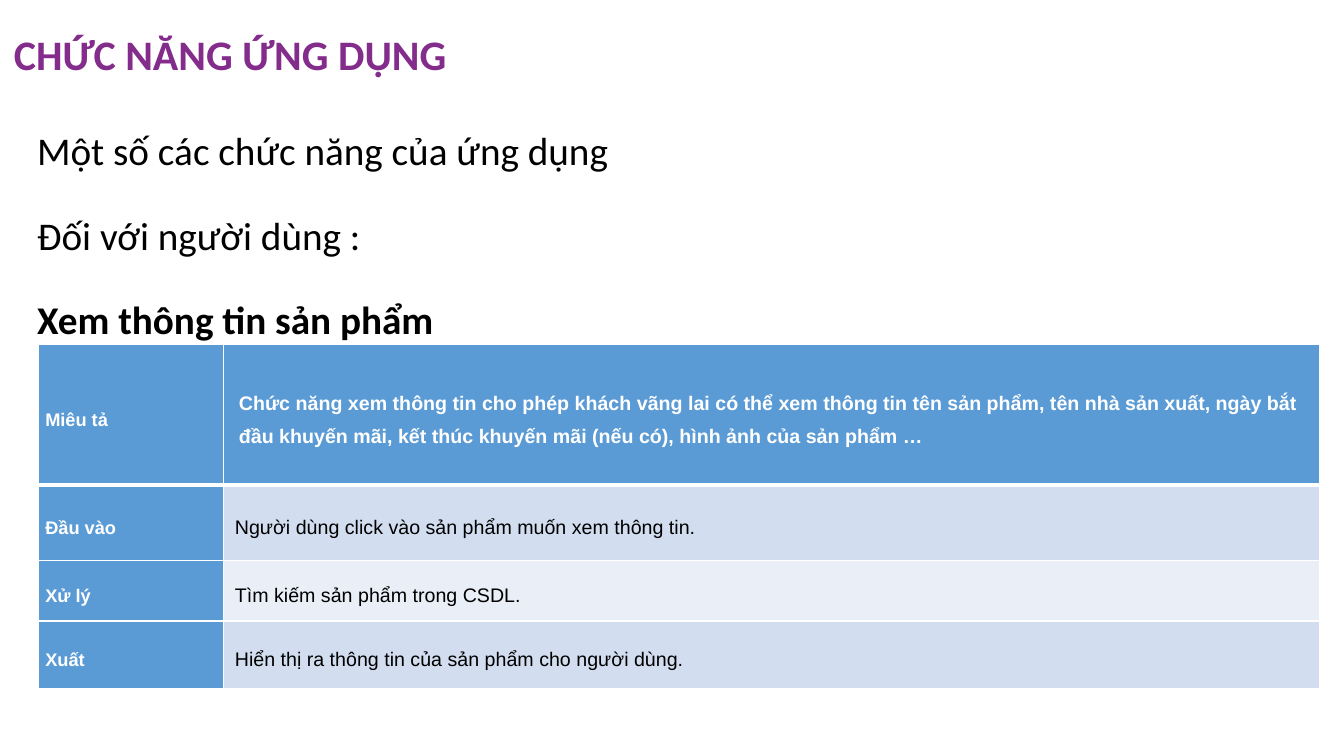
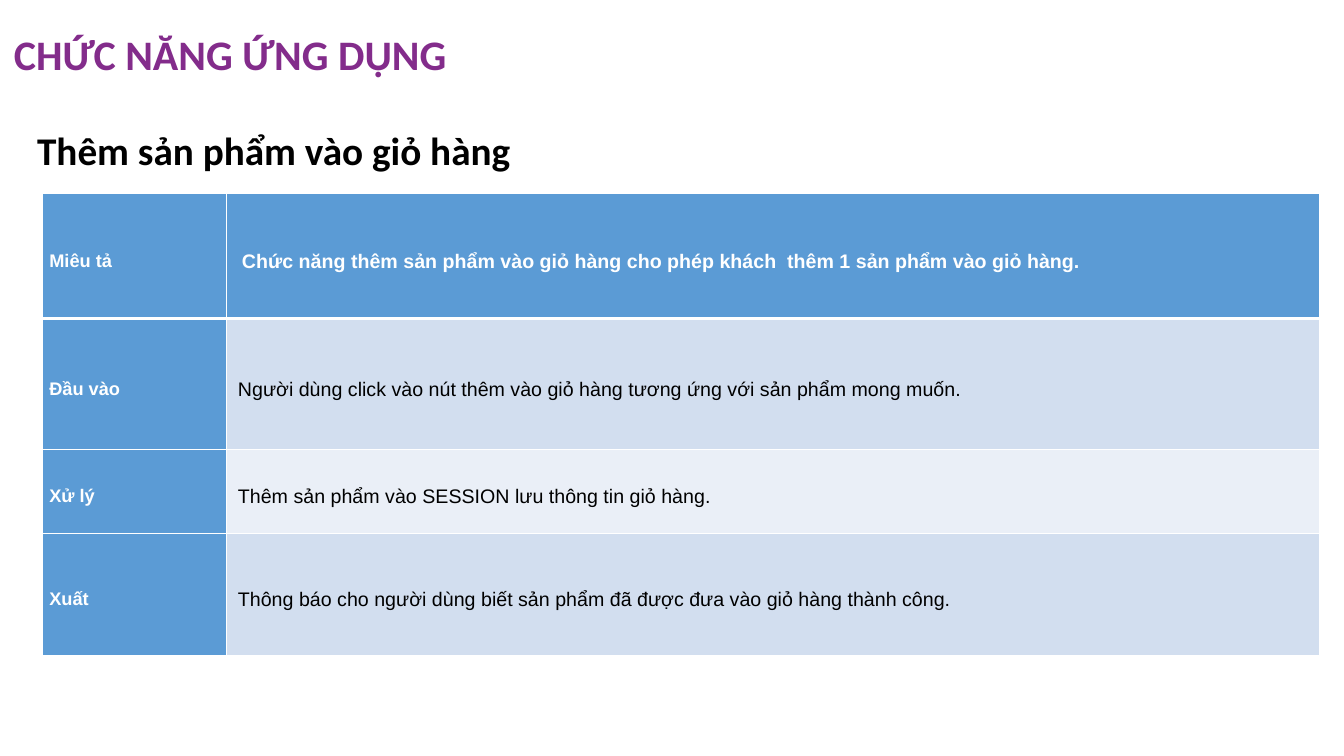
from lxml import etree
from pptx import Presentation
from pptx.dml.color import RGBColor
from pptx.enum.text import MSO_ANCHOR
from pptx.oxml.ns import qn
from pptx.util import Inches, Pt

MIDDLE, TOP = MSO_ANCHOR.MIDDLE, MSO_ANCHOR.TOP
WIDE, HIGH = 13.33, 7.5
PURPLE, BLUE, BLACK, WHITE = "832C8B", "5B9BD5", "000000", "FFFFFF"
BANDS = ["D2DEEF", "EAEFF7"]
TITLE = "CHỨC NĂNG ỨNG DỤNG"
LABELS = ["Miêu tả", "Đầu vào", "Xử lý", "Xuất"]

# Content: intro lines, bold heading, table place, column and row sizes, row texts
SLIDES = [
    dict(
        intro=["Một số các chức năng của ứng dụng", "Đối với người dùng :"],
        head="Xem thông tin sản phẩm",
        at=(0.38, 3.42), cols=[1.84, 10.87], rows=[1.39, 0.75, 0.6, 0.67],
        texts=[
            "Chức năng xem thông tin cho phép khách vãng lai có thể xem thông tin "
            "tên sản phẩm, tên nhà sản xuất, ngày bắt đầu khuyến mãi, kết thúc "
            "khuyến mãi (nếu có), hình ảnh của sản phẩm …",
            "Người dùng click vào sản phẩm muốn xem thông tin.",
            "Tìm kiếm sản phẩm trong CSDL.",
            "Hiển thị ra thông tin của sản phẩm cho người dùng.",
        ],
    ),
    dict(
        intro=[],
        head="Thêm sản phẩm vào giỏ hàng",
        at=(0.42, 1.92), cols=[1.83, 10.84], rows=[1.24, 1.3, 0.83, 1.21],
        texts=[
            "Chức năng thêm sản phẩm vào giỏ hàng cho phép khách  thêm 1 sản phẩm "
            "vào giỏ hàng.",
            "Người dùng click vào nút thêm vào giỏ hàng tương ứng với sản phẩm "
            "mong muốn.",
            "Thêm sản phẩm vào SESSION lưu thông tin giỏ hàng.",
            "Thông báo cho người dùng biết sản phẩm đã được đưa vào giỏ hàng "
            "thành công.",
        ],
    ),
]


def rgb(code):
    return RGBColor.from_string(code)


def style(para, text, face, size, color, bold, line, indent=0):
    para.text = text
    para.line_spacing = line
    if indent:
        para._p.get_or_add_pPr().set("marL", str(Inches(indent)))
    font = para.font
    font.name, font.size, font.bold = face, Pt(size), bold
    font.color.rgb = rgb(color)


def add_box(slide, place, anchor):
    frame = slide.shapes.add_textbox(*map(Inches, place)).text_frame
    frame.word_wrap = True
    frame.vertical_anchor = anchor
    frame.margin_left = frame.margin_right = Inches(0.1)
    frame.margin_top = frame.margin_bottom = Inches(0.1)
    return frame


def add_edges(cell, widths):
    props = cell._tc.get_or_add_tcPr()
    for side, width in widths.items():
        edge = etree.SubElement(props, qn("a:ln" + side), w=str(Pt(width)))
        fill = etree.SubElement(edge, qn("a:solidFill"))
        etree.SubElement(fill, qn("a:srgbClr"), val=WHITE)


def add_grid(slide, at, cols, rows, texts):
    sizes = (*at, sum(cols), sum(rows))
    table = slide.shapes.add_table(len(rows), len(cols), *map(Inches, sizes)).table
    for col, width in zip(table.columns, cols):
        col.width = Inches(width)
    for row, height in zip(table.rows, rows):
        row.height = Inches(height)
    for r, pair in enumerate(zip(LABELS, texts)):
        for c, text in enumerate(pair):
            cell = table.cell(r, c)
            strong = r == 0 or c == 0
            # The header row has a thick line below it
            add_edges(cell, {"L": 1, "R": 1, "T": 3 if r == 1 else 1,
                             "B": 3 if r == 0 else 1})
            cell.fill.solid()
            cell.fill.fore_color.rgb = rgb(BLUE if strong else BANDS[(r - 1) % 2])
            cell.vertical_anchor = MIDDLE
            cell.margin_left = cell.margin_right = Inches(0.07)
            cell.margin_top = cell.margin_bottom = 0
            indent = 0 if c == 0 else 0.08 if r == 0 else 0.04
            style(cell.text_frame.paragraphs[0], text, "Arial", 14 if c else 13,
                  WHITE if strong else BLACK, strong, 1.5, indent)


def add_page(deck, intro, head, **grid):
    slide = deck.slides.add_slide(deck.slide_layouts[6])
    # Title
    title = add_box(slide, (0.04, 0, 11.5, 1.12), MIDDLE)
    style(title.paragraphs[0], TITLE, "Calibri", 30, PURPLE, True, 0.9)
    # Body lines, the last one bold
    body = add_box(slide, (0.08, 0.92, 13, 6), TOP)
    for i, text in enumerate(intro + [head]):
        para = body.add_paragraph() if i else body.paragraphs[0]
        if i:
            para.space_before = Pt(10)
        style(para, text, "Calibri", 28, BLACK, i == len(intro), 1.5, 0.19)
    # Table
    add_grid(slide, **grid)


def main():
    deck = Presentation()
    deck.slide_width, deck.slide_height = Inches(WIDE), Inches(HIGH)
    for page in SLIDES:
        add_page(deck, **page)
    deck.save("out.pptx")


if __name__ == "__main__":
    main()
